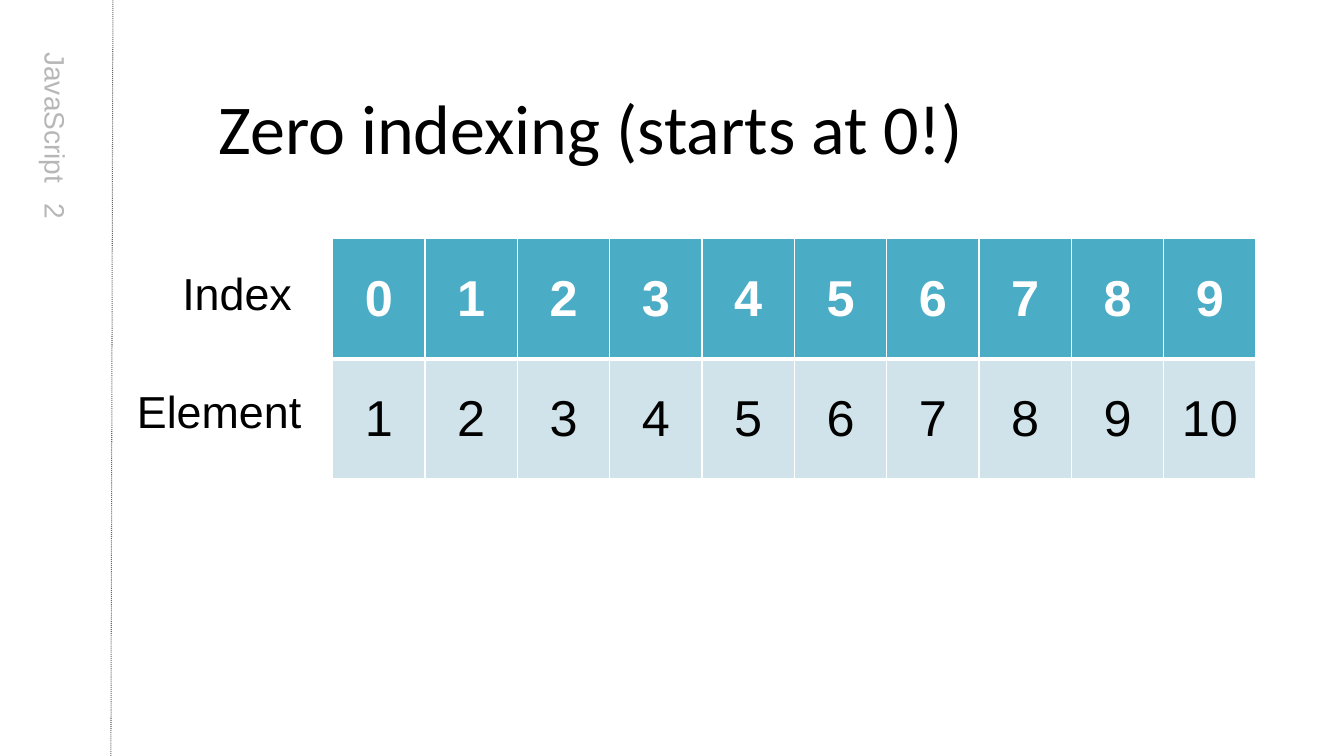
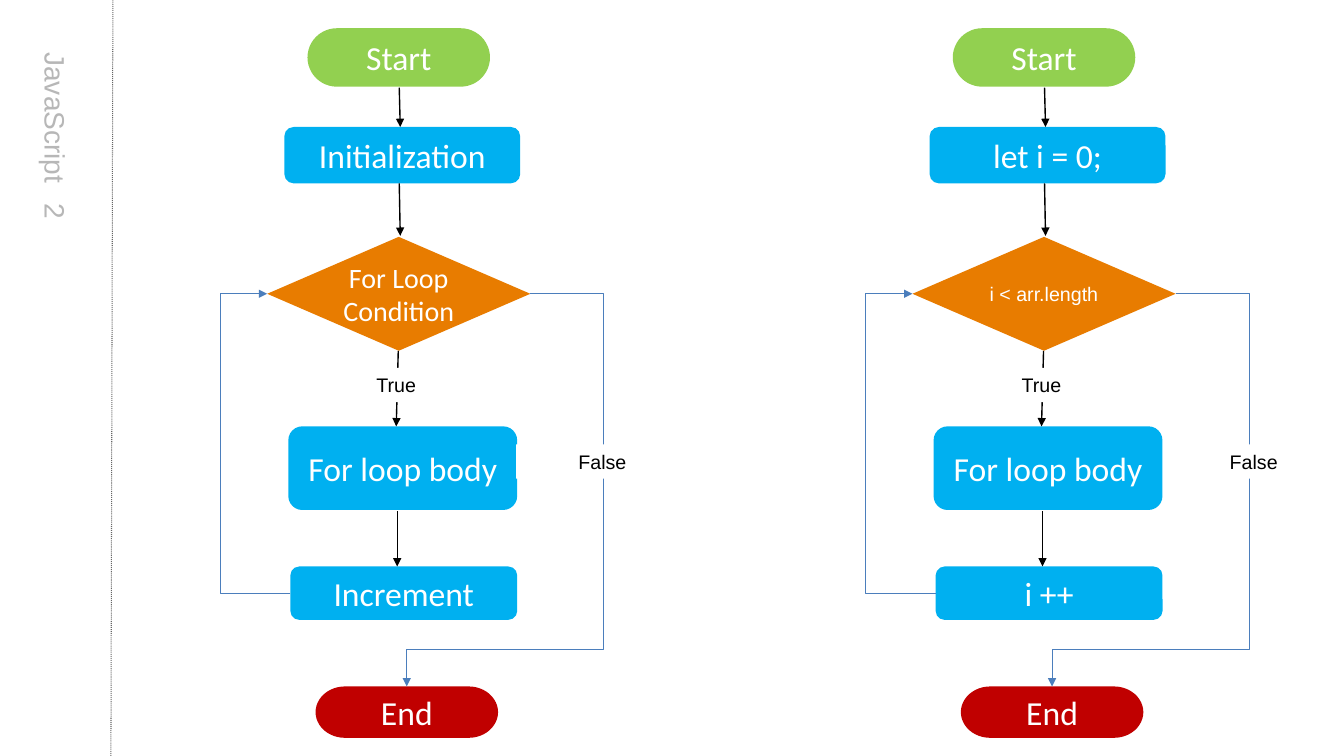
from dataclasses import dataclass

from lxml import etree
from pptx import Presentation
from pptx.dml.color import RGBColor
from pptx.enum import dml, shapes, text
from pptx.oxml import ns
from pptx.util import Inches, Pt

# Shared colours and fonts
BLACK = RGBColor(0x00, 0x00, 0x00)
WHITE = RGBColor(0xFF, 0xFF, 0xFF)
SILVER = RGBColor(0xB7, 0xB7, 0xB7)
GRAY = RGBColor(0x66, 0x66, 0x66)
TEAL = RGBColor(0x4B, 0xAC, 0xC6)
PALE = RGBColor(0xD0, 0xE3, 0xEA)
GREEN = RGBColor(0x92, 0xD0, 0x50)
SKY = RGBColor(0x00, 0xB0, 0xF0)
ORANGE = RGBColor(0xE8, 0x7C, 0x00)
RED = RGBColor(0xC0, 0x00, 0x00)
STEEL = RGBColor(0x4B, 0x7E, 0xBC)
SANS, HEAD = "Arial", "Calibri"

KIND = shapes.MSO_SHAPE
WIRE = shapes.MSO_CONNECTOR
ALIGN = text.PP_ALIGN
MIDDLE = text.MSO_ANCHOR.MIDDLE
TOP, LEFT, RIGHT = 0, 1, 3  # connection sites


@dataclass
class Style:
    size: int
    color: RGBColor
    face: str = SANS
    bold: bool = False
    align: ALIGN = ALIGN.LEFT


@dataclass
class Node:
    kind: KIND
    left: float
    top: float
    width: float
    height: float
    fill: RGBColor
    size: int = 24
    face: str = HEAD


@dataclass
class Flow:
    shift: float
    exit: float  # left edge of the "False" label
    words: list[str]
    test: Style


SIDE = Style(20, SILVER)
TITLE = Style(50, BLACK, HEAD)
LABEL = Style(32, BLACK)
STEP = Style(24, WHITE, HEAD, align=ALIGN.CENTER)
NOTE = Style(14, BLACK, align=ALIGN.CENTER)


# Drawing helpers
def write(frame, words: str, style: Style) -> None:
    frame.text = words
    for para in frame.paragraphs:
        para.alignment = style.align
        font = para.font
        font.size, font.name, font.bold = Pt(style.size), style.face, style.bold
        font.color.rgb = style.color


def add_text(slide, words: str, style: Style, left: float, top: float,
             width: float, height: float):
    box = slide.shapes.add_textbox(Inches(left), Inches(top), Inches(width), Inches(height))
    box.text_frame.word_wrap = True
    write(box.text_frame, words, style)
    return box


def add_node(slide, node: Node, words: str, style: Style, shift: float = 0):
    shape = slide.shapes.add_shape(
        node.kind, Inches(node.left + shift), Inches(node.top),
        Inches(node.width), Inches(node.height))
    shape.shadow.inherit = False
    shape.fill.solid()
    shape.fill.fore_color.rgb = node.fill
    shape.line.fill.background()
    shape.text_frame.word_wrap = True
    shape.text_frame.vertical_anchor = MIDDLE
    write(shape.text_frame, words, style)
    return shape


def add_line(slide, x1: float, y1: float, x2: float, y2: float,
             color: RGBColor, width: float, arrow: bool = True, kind: WIRE = WIRE.STRAIGHT):
    line = slide.shapes.add_connector(kind, Inches(x1), Inches(y1), Inches(x2), Inches(y2))
    line.line.color.rgb = color
    line.line.width = Pt(width)
    if arrow:
        etree.SubElement(line.line._get_or_add_ln(), ns.qn("a:tailEnd"), type="triangle")
    etree.SubElement(line._element.spPr, ns.qn("a:effectLst"))
    return line


def add_bend(slide, start, out: int, end, into: int, bends: list[int]) -> None:
    line = add_line(slide, 0, 0, 1, 1, STEEL, 0.75, kind=WIRE.ELBOW)
    line.begin_connect(start, out)
    line.end_connect(end, into)
    geom = line._element.spPr.find(ns.qn("a:prstGeom"))
    geom.set("prst", f"bentConnector{len(bends) + 2}")
    guides = geom.find(ns.qn("a:avLst"))
    for i, bend in enumerate(bends, 1):
        etree.SubElement(guides, ns.qn("a:gd"), name=f"adj{i}", fmla=f"val {bend}")


def edge_cell(cell, widths: dict[str, int]) -> None:
    props = cell._tc.get_or_add_tcPr()
    for i, (side, width) in enumerate(widths.items()):
        edge = etree.Element(ns.qn(f"a:ln{side}"), w=str(Pt(width)))
        paint = etree.SubElement(edge, ns.qn("a:solidFill"))
        etree.SubElement(paint, ns.qn("a:srgbClr"), val=str(WHITE))
        props.insert(i, edge)


def add_page(deck):
    """Blank slide with the side label and dotted rule."""
    slide = deck.slides.add_slide(deck.slide_layouts[6])
    box = slide.shapes.add_textbox(Inches(-1.65), Inches(2.55), Inches(4.4), Inches(0.34))
    box.rotation = 90
    frame = box.text_frame
    frame.word_wrap = True
    frame.margin_left = frame.margin_right = frame.margin_top = frame.margin_bottom = 0
    props = frame.paragraphs[0]._p.get_or_add_pPr()
    tabs = etree.SubElement(props, ns.qn("a:tabLst"))
    etree.SubElement(tabs, ns.qn("a:tab"), pos=str(Inches(1.43)), algn="l")
    write(frame, "JavaScript\t2", SIDE)
    rule = add_line(slide, 1.1, 7.52, 1.12, 0, GRAY, 0.75, arrow=False)
    rule.line.dash_style = dml.MSO_LINE.ROUND_DOT
    return slide


# Slide 1: index table
def draw_index(deck) -> None:
    slide = add_page(deck)
    title = add_text(slide, "Zero indexing (starts at 0!)", TITLE, 2.07, 0.76, 11.5, 1)
    title.text_frame.vertical_anchor = MIDDLE

    count = 10
    grid = slide.shapes.add_table(2, count, Inches(3.3), Inches(2.37),
                                  Inches(9.16), Inches(2.38)).table
    looks = [
        (TEAL, Style(36, WHITE, bold=True, align=ALIGN.CENTER), dict(L=1, R=1, T=1, B=3)),
        (PALE, Style(36, BLACK, align=ALIGN.CENTER), dict(L=1, R=1, T=3, B=1)),
    ]
    for row, (fill, style, edges) in enumerate(looks):
        for col in range(count):
            cell = grid.cell(row, col)
            cell.fill.solid()
            cell.fill.fore_color.rgb = fill
            cell.vertical_anchor = MIDDLE
            write(cell.text_frame, str(col + row), style)
            edge_cell(cell, edges)

    add_text(slide, "Index", LABEL, 1.71, 2.59, 3, 0.64)
    add_text(slide, "Element", LABEL, 1.26, 3.76, 3, 0.64)


# Slide 2: loop flowcharts
NODES = [
    Node(KIND.FLOWCHART_TERMINATOR, 3.05, 0.28, 1.81, 0.58, GREEN),
    Node(KIND.ROUNDED_RECTANGLE, 2.82, 1.26, 2.34, 0.56, SKY),
    Node(KIND.FLOWCHART_DECISION, 2.65, 2.35, 2.61, 1.13, ORANGE),
    Node(KIND.ROUNDED_RECTANGLE, 2.86, 4.23, 2.27, 0.83, SKY),
    Node(KIND.ROUNDED_RECTANGLE, 2.88, 5.62, 2.25, 0.53, SKY),
    Node(KIND.FLOWCHART_TERMINATOR, 3.13, 6.81, 1.81, 0.51, RED),
]
ARROWS = [
    (3.96, 0.87, 3.97, 1.26),
    (3.96, 1.82, 3.97, 2.34),
    (3.95, 3.48, 3.93, 4.23),
    (3.94, 5.07, 3.94, 5.62),
]
FLOWS = [
    Flow(0, 5.12,
         ["Start", "Initialization", "For Loop\nCondition", "For loop body", "Increment", "End"],
         Style(20, WHITE, HEAD, align=ALIGN.CENTER)),
    Flow(6.4, 11.58,
         ["Start", "let i = 0;", "i < arr.length", "For loop body", "i ++", "End"],
         Style(14, WHITE, align=ALIGN.CENTER)),
]


def draw_flow(slide, flow: Flow) -> None:
    steps = []
    for node, words in zip(NODES, flow.words):
        style = flow.test if node.kind == KIND.FLOWCHART_DECISION else STEP
        steps.append(add_node(slide, node, words, style, flow.shift))
    for x1, y1, x2, y2 in ARROWS:
        add_line(slide, x1 + flow.shift, y1, x2 + flow.shift, y2, BLACK, 1)
    test, step, end = steps[2], steps[4], steps[5]
    add_bend(slide, step, LEFT, test, LEFT, [301000])
    add_bend(slide, test, RIGHT, end, TOP, [-59600, 90600])
    add_node(slide, Node(KIND.RECTANGLE, 3.05 + flow.shift, 3.65, 1.76, 0.34, WHITE), "True", NOTE)
    add_node(slide, Node(KIND.RECTANGLE, flow.exit, 4.41, 1.71, 0.34, WHITE), "False", NOTE)


def draw_loops(deck) -> None:
    slide = add_page(deck)
    for flow in FLOWS:
        draw_flow(slide, flow)


def main() -> None:
    deck = Presentation()
    deck.slide_width, deck.slide_height = Inches(13.33), Inches(7.5)
    draw_index(deck)
    draw_loops(deck)
    deck.save("out.pptx")


if __name__ == "__main__":
    main()
